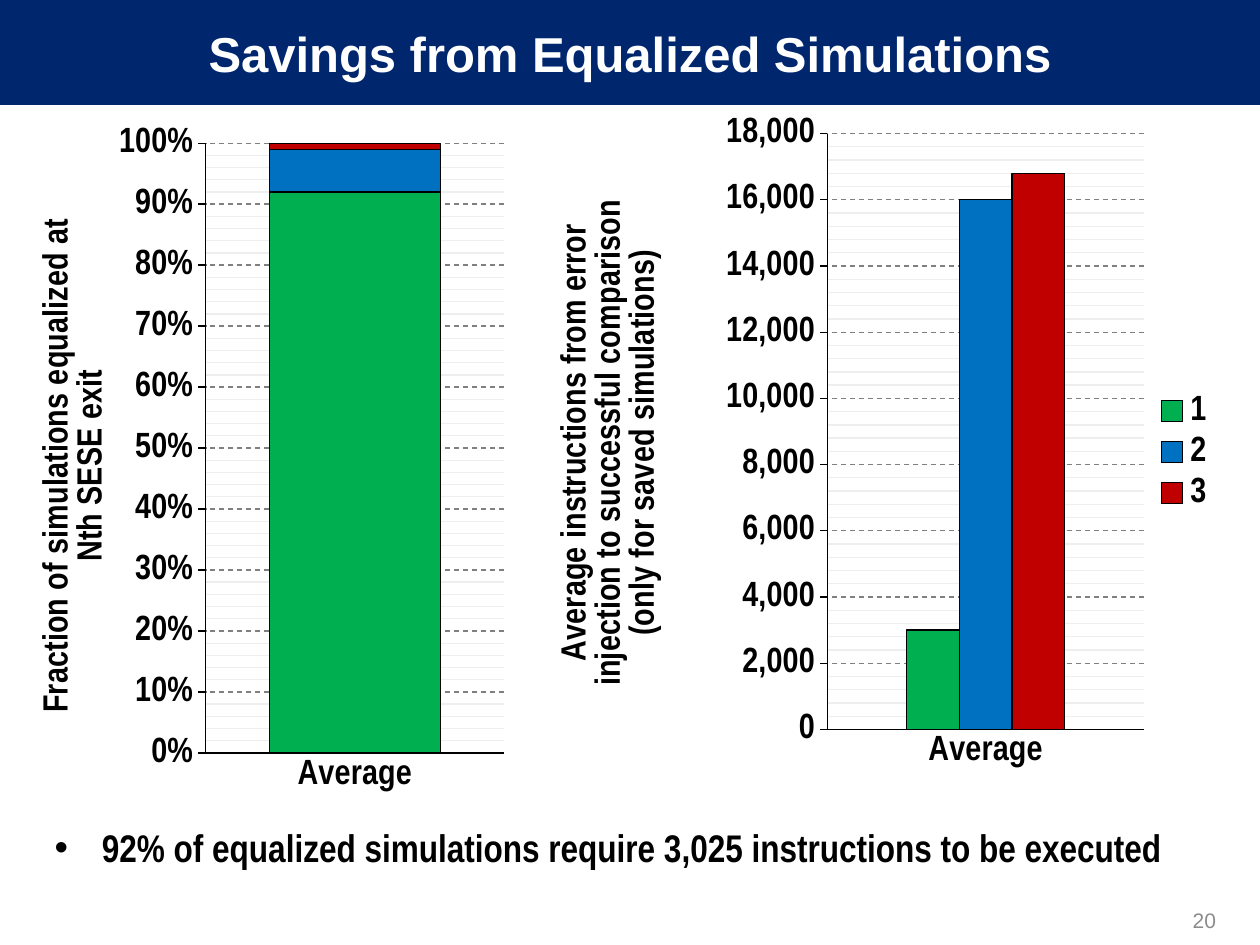
from dataclasses import dataclass

from lxml import etree
from pptx import Presentation
from pptx.chart.data import CategoryChartData
from pptx.dml.color import RGBColor
from pptx.enum import chart as ec, dml, text
from pptx.oxml import ns
from pptx.util import Pt


@dataclass(frozen=True)
class Theme:
    navy: str = "00266E"
    white: str = "FFFFFF"
    black: str = "000000"
    page: str = "8C8C8C"
    grid: str = "808080"
    minor_grid: str = "EEEEEE"
    series: tuple = ("00B050", "0070C0", "C00000")
    heading_font: str = "Arial"
    body_font: str = "Arial Narrow"
    title_size: float = 28
    body_size: float = 22
    chart_size: float = 20
    page_size: float = 12
    line: float = 0.75


THEME = Theme()


def apply(target, values):
    for key, value in values.items():
        setattr(target, key, value)


def place(part, box):
    apply(part, dict(zip(("left", "top", "width", "height"), map(Pt, box))))


def style_font(font, size, color, name, bold=True):
    apply(font, {"size": Pt(size), "name": name, "bold": bold})
    font.color.rgb = RGBColor.from_string(color)


def style_chart_font(font):
    style_font(font, THEME.chart_size, THEME.black, THEME.body_font)


def style_line(line, color, dash=None):
    line.color.rgb = RGBColor.from_string(color)
    line.width = Pt(THEME.line)
    if dash:
        line.dash_style = dash


def style_frame(frame, anchor):
    apply(frame, {
        "word_wrap": True, "auto_size": text.MSO_AUTO_SIZE.NONE,
        "vertical_anchor": anchor,
        "margin_left": Pt(7.2), "margin_right": Pt(7.2),
        "margin_top": Pt(3.6), "margin_bottom": Pt(3.6),
    })


def set_layout(parent, position, fractions, inner=False):
    layout = parent.find(ns.qn("c:layout"))
    if layout is None:
        layout = etree.Element(ns.qn("c:layout"))
        parent.insert(position, layout)
    manual = etree.SubElement(layout, ns.qn("c:manualLayout"))
    values = {"layoutTarget": "inner"} if inner else {}
    values.update({"xMode": "edge", "yMode": "edge"})
    values.update(zip("xywh", fractions))
    for tag, value in values.items():
        etree.SubElement(manual, ns.qn(f"c:{tag}")).set("val", str(value))


def heading(slide, box, wording):
    title = slide.shapes.title
    place(title, box)
    title.fill.solid()
    title.fill.fore_color.rgb = RGBColor.from_string(THEME.navy)
    frame = title.text_frame
    frame.text = wording
    style_frame(frame, text.MSO_ANCHOR.MIDDLE)
    paragraph = frame.paragraphs[0]
    paragraph.alignment = text.PP_ALIGN.CENTER
    style_font(paragraph.font, THEME.title_size, THEME.white, THEME.heading_font)


def takeaway(slide, box, wording):
    body = slide.placeholders[1]
    place(body, box)
    frame = body.text_frame
    frame.text = wording
    style_frame(frame, text.MSO_ANCHOR.TOP)
    paragraph = frame.paragraphs[0]
    properties = paragraph._p.get_or_add_pPr()
    properties.set("marL", str(Pt(27)))
    properties.set("indent", str(-Pt(27)))
    etree.SubElement(properties, ns.qn("a:buFont")).set("typeface", THEME.heading_font)
    etree.SubElement(properties, ns.qn("a:buChar")).set("char", "•")
    apply(paragraph, {"line_spacing": 1.2, "space_before": Pt(0)})
    style_font(paragraph.font, THEME.body_size, THEME.black, THEME.body_font)


def page_number(slide, box, wording):
    number = slide.shapes.add_textbox(*map(Pt, box))
    frame = number.text_frame
    frame.text = wording
    style_frame(frame, text.MSO_ANCHOR.MIDDLE)
    paragraph = frame.paragraphs[0]
    paragraph.alignment = text.PP_ALIGN.RIGHT
    style_font(paragraph.font, THEME.page_size, THEME.page, THEME.heading_font, False)


def value_axis(axis, wording, title_at, scale, number_format):
    apply(axis, scale)
    apply(axis, {
        "has_major_gridlines": True, "has_minor_gridlines": True,
        "major_tick_mark": ec.XL_TICK_MARK.OUTSIDE,
        "minor_tick_mark": ec.XL_TICK_MARK.NONE,
    })
    apply(axis.tick_labels, {"number_format": number_format,
                             "number_format_is_linked": False})
    style_line(axis.major_gridlines.format.line, THEME.grid, dml.MSO_LINE.DASH)
    minor = etree.SubElement
    minor_lines = axis._element.find(ns.qn("c:minorGridlines"))
    shape = minor(minor_lines, ns.qn("c:spPr"))
    line = minor(shape, ns.qn("a:ln"), w=str(Pt(THEME.line)))
    fill = minor(line, ns.qn("a:solidFill"))
    minor(fill, ns.qn("a:srgbClr"), val=THEME.minor_grid)
    title = axis.axis_title
    title.text_frame.text = wording
    for paragraph in title.text_frame.paragraphs:
        style_chart_font(paragraph.font)
        for run in paragraph.runs:
            style_chart_font(run.font)
    rotation = title._element.find(".//" + ns.qn("a:bodyPr"))
    rotation.set("rot", "-5400000")
    rotation.set("vert", "horz")
    set_layout(title._element, 1, title_at)


def bar_chart(slide, box, kind, series, plot_at, bars, legend, **axis_values):
    data = CategoryChartData()
    data.categories = ["Average"]
    for name, value in series:
        data.add_series(name, [value])
    chart = slide.shapes.add_chart(kind, *map(Pt, box), data).chart
    apply(chart, {"has_title": False, "has_legend": legend})
    style_chart_font(chart.font)
    plot = chart.plots[0]
    apply(plot, {"vary_by_categories": False, **bars})
    for bar, color in zip(plot.series, THEME.series):
        bar.format.fill.solid()
        bar.format.fill.fore_color.rgb = RGBColor.from_string(color)
        style_line(bar.format.line, THEME.black)
    value_axis(chart.value_axis, **axis_values)
    chart.category_axis.major_tick_mark = ec.XL_TICK_MARK.NONE
    for axis in (chart.category_axis, chart.value_axis):
        style_line(axis.format.line, THEME.black)
        style_chart_font(axis.tick_labels.font)
    if legend:
        apply(chart.legend, {"position": ec.XL_LEGEND_POSITION.RIGHT,
                             "include_in_layout": False})
        style_chart_font(chart.legend.font)
    plot_area = chart._chartSpace.find(".//" + ns.qn("c:plotArea"))
    set_layout(plot_area, 0, plot_at, inner=True)


def main():
    deck = Presentation()
    apply(deck, {"slide_width": Pt(720), "slide_height": Pt(540)})
    slide = deck.slides.add_slide(deck.slide_layouts[1])
    heading(slide, (0, 0, 720, 60), "Savings from Equalized Simulations")
    page_number(slide, (534, 511, 168, 29), "20")
    takeaway(slide, (24, 462, 666, 48),
             "92% of equalized simulations require 3,025 instructions to be executed")
    bar_chart(
        slide, (300, 60.5, 402, 396), ec.XL_CHART_TYPE.COLUMN_CLUSTERED,
        [("1", 3000), ("2", 16000), ("3", 16800)],
        (0.43, 0.04, 0.45, 0.86), {"gap_width": 300, "overlap": 0}, True,
        wording="Average instructions from error injection to successful "
                "comparison\n(only for saved simulations)",
        title_at=(0.04, 0.13), number_format="#,##0",
        scale={"minimum_scale": 0, "maximum_scale": 18000,
               "major_unit": 2000, "minor_unit": 400})
    bar_chart(
        slide, (0, 66, 294, 396), ec.XL_CHART_TYPE.COLUMN_STACKED_100,
        [("Series 1", 92), ("Series 2", 7), ("Series 3", 1)],
        (0.4, 0.04, 0.58, 0.88), {"gap_width": 75, "overlap": 100}, False,
        wording="Fraction of simulations equalized at Nth SESE exit",
        title_at=(0.06, 0.14), number_format="0%",
        scale={"minimum_scale": 0, "maximum_scale": 1,
               "major_unit": 0.1, "minor_unit": 0.02})
    deck.save("out.pptx")


if __name__ == "__main__":
    main()
